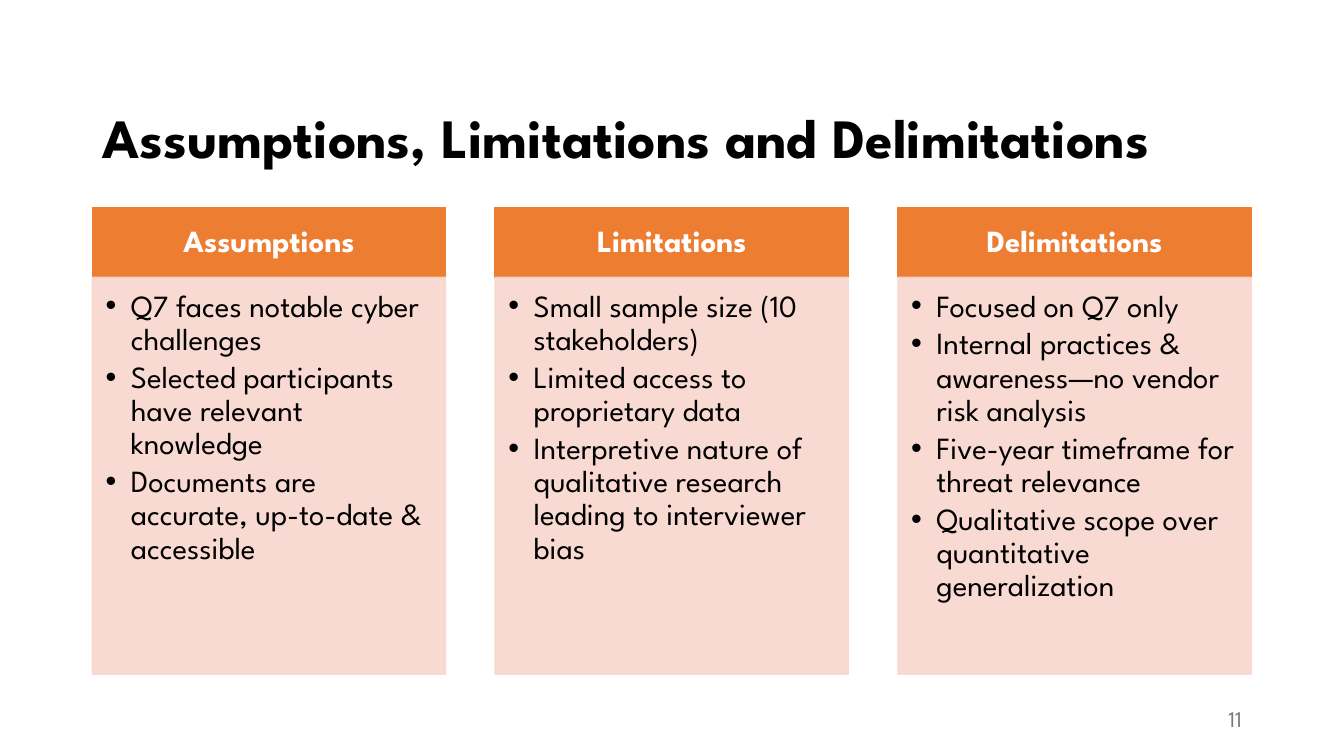
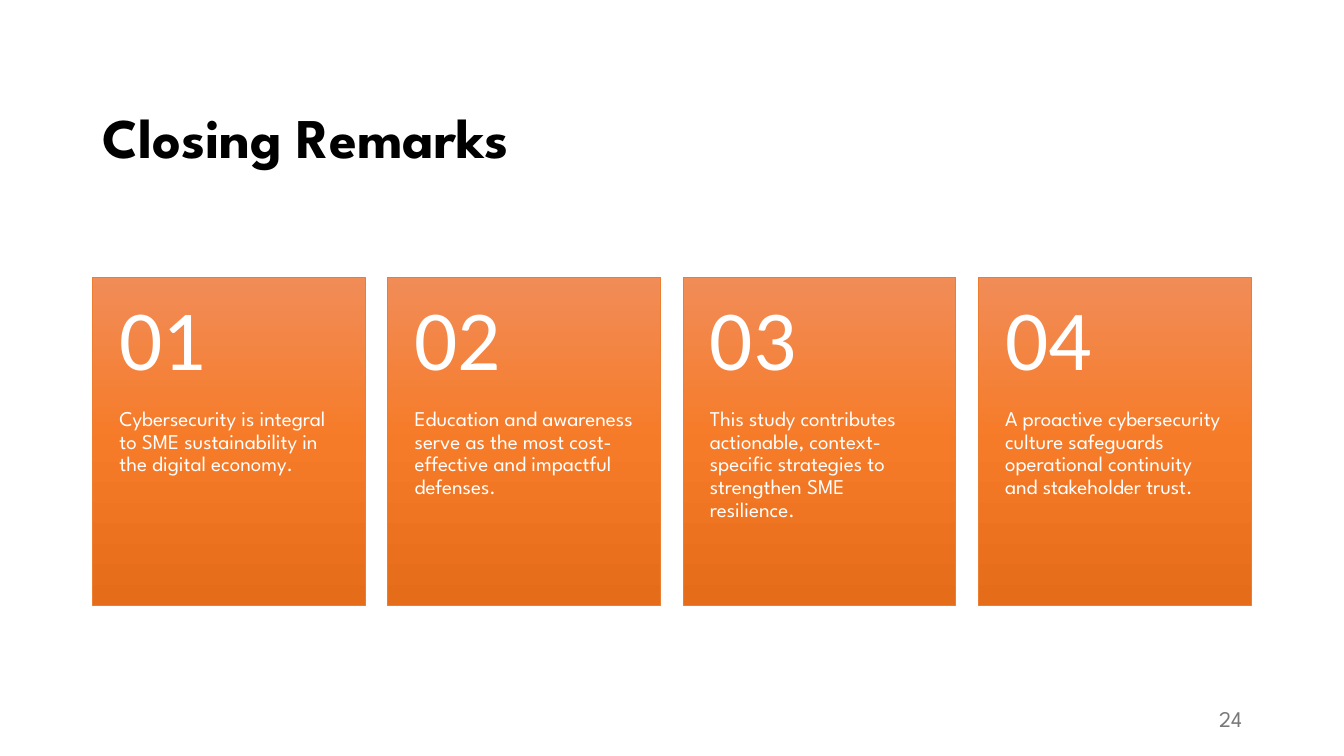
from dataclasses import dataclass

from lxml import etree
from pptx import Presentation
from pptx.dml.color import RGBColor
from pptx.enum.shapes import MSO_SHAPE
from pptx.enum.text import MSO_ANCHOR, PP_ALIGN
from pptx.oxml.ns import qn
from pptx.util import Cm, Pt

RECTANGLE = MSO_SHAPE.RECTANGLE
TOP, MIDDLE = MSO_ANCHOR.TOP, MSO_ANCHOR.MIDDLE
LEFT, CENTER, RIGHT = PP_ALIGN.LEFT, PP_ALIGN.CENTER, PP_ALIGN.RIGHT


@dataclass(frozen=True)
class Theme:
    font: str = "League Spartan"
    number_font: str = "Calibri"
    ink: str = "000000"
    white: str = "FFFFFF"
    orange: str = "ED7D31"
    blush: str = "F8D7CE"
    grey: str = "797979"
    card_gradient: tuple = ((0, "F18C57"), (50, "F67B28"), (100, "E56C19"))
    blush_opacity: int = 90
    title_size: float = 40
    column_size: float = 22
    remark_size: float = 15
    number_size: float = 61
    page_size: float = 16
    line_spacing: float = 0.9


THEME = Theme()
MARGIN = 2.33
CONTENT_WIDTH = 29.2
DEFAULT_INSETS = (0.25, 0.13, 0.25, 0.13)

COLUMNS = (
    ("Assumptions", (
        "Q7 faces notable cyber challenges",
        "Selected participants have relevant knowledge",
        "Documents are accurate, up-to-date & accessible",
    )),
    ("Limitations", (
        "Small sample size (10 stakeholders)",
        "Limited access to proprietary data",
        "Interpretive nature of qualitative research leading to interviewer bias",
    )),
    ("Delimitations", (
        "Focused on Q7 only",
        "Internal practices & awareness—no vendor risk analysis",
        "Five-year timeframe for threat relevance",
        "Qualitative scope over quantitative generalization",
    )),
)

REMARKS = (
    "Cybersecurity is integral to SME sustainability in the digital economy.",
    "Education and awareness serve as the most cost-effective and impactful defenses.",
    "This study contributes actionable, context-specific strategies to strengthen SME resilience.",
    "A proactive cybersecurity culture safeguards operational continuity and stakeholder trust.",
)


def column_lefts(count, width):
    gap = (CONTENT_WIDTH - count * width) / (count - 1)
    return [MARGIN + index * (width + gap) for index in range(count)]


def add_bullet(paragraph):
    properties = paragraph._p.get_or_add_pPr()
    properties.set("marL", str(Cm(0.64)))
    properties.set("indent", str(-Cm(0.64)))
    etree.SubElement(properties, qn("a:buFont"), typeface="Arial")
    etree.SubElement(properties, qn("a:buChar"), char="•")


def write(shape, lines, size, color, font=THEME.font, bold=False, align=LEFT,
          anchor=TOP, insets=DEFAULT_INSETS, space_after=0, bulleted=False):
    frame = shape.text_frame
    frame.word_wrap = True
    frame.vertical_anchor = anchor
    (frame.margin_left, frame.margin_top,
     frame.margin_right, frame.margin_bottom) = map(Cm, insets)
    for index, line in enumerate(lines):
        paragraph = frame.add_paragraph() if index else frame.paragraphs[0]
        paragraph.alignment = align
        paragraph.line_spacing = THEME.line_spacing
        paragraph.space_after = Pt(space_after)
        if bulleted:
            add_bullet(paragraph)
        run = paragraph.add_run()
        run.text = line
        run.font.name = font
        run.font.size = Pt(size)
        run.font.bold = bold
        run.font.color.rgb = RGBColor.from_string(color)


def add_label(slide, box, lines, size, color, **style):
    label = slide.shapes.add_textbox(*map(Cm, box))
    write(label, lines, size, color, **style)


def add_panel(slide, box, color, line_width):
    panel = slide.shapes.add_shape(RECTANGLE, *map(Cm, box))
    panel.shadow.inherit = False
    panel.fill.solid()
    panel.fill.fore_color.rgb = RGBColor.from_string(color)
    panel.line.color.rgb = RGBColor.from_string(color)
    panel.line.width = Pt(line_width)
    return panel


def set_opacity(panel, percent):
    for color in panel._element.spPr.iter(qn("a:srgbClr")):
        etree.SubElement(color, qn("a:alpha"), val=str(percent * 1000))


def set_gradient(panel, stops):
    panel.fill.gradient()
    panel.fill.gradient_angle = 270
    stop_list = panel._element.spPr.find(".//" + qn("a:gsLst"))
    for default_stop in list(stop_list):
        stop_list.remove(default_stop)
    for position, color in stops:
        stop = etree.SubElement(stop_list, qn("a:gs"), pos=str(position * 1000))
        etree.SubElement(stop, qn("a:srgbClr"), val=color)


def add_titled_slide(deck, title, page, title_size=THEME.title_size):
    slide = deck.slides.add_slide(deck.slide_layouts[6])
    add_label(slide, (MARGIN, 2.37, CONTENT_WIDTH, 2.33), [title], title_size,
              THEME.ink, bold=True, anchor=MIDDLE)
    add_label(slide, (23.93, 17.65, 7.62, 1.02), [page], THEME.page_size,
              THEME.grey, align=RIGHT, anchor=MIDDLE)
    return slide


def add_column(slide, left, width, heading, points):
    header = add_panel(slide, (left, 5.23, width, 1.76), THEME.orange, 1)
    write(header, [heading], THEME.column_size, THEME.white, bold=True,
          align=CENTER, anchor=MIDDLE, insets=(0.43, 0.25, 0.43, 0.25))
    body = add_panel(slide, (left, 6.99, width, 10), THEME.blush, 1)
    set_opacity(body, THEME.blush_opacity)
    write(body, points, THEME.column_size, THEME.ink, bulleted=True,
          insets=(0.33, 0.33, 0.43, 0.48), space_after=3.3)


def add_card(slide, left, width, number, remark):
    card = add_panel(slide, (left, 6.99, width, 8.26), THEME.orange, 0.5)
    set_gradient(card, THEME.card_gradient)
    add_label(slide, (left, 10.29, width, 4.95), [remark], THEME.remark_size,
              THEME.white, insets=(0.68, 0, 0.68, 0.91))
    add_label(slide, (left, 6.99, width, 3.3), [f"{number:02}"],
              THEME.number_size, THEME.white, font=THEME.number_font,
              anchor=MIDDLE, insets=(0.68, 0.46, 0.68, 0.46))


def build_scope_slide(deck):
    slide = add_titled_slide(
        deck, "Assumptions, Limitations and Delimitations", "11", title_size=39.6)
    width = 8.9
    for left, (heading, points) in zip(column_lefts(len(COLUMNS), width), COLUMNS):
        add_column(slide, left, width, heading, points)


def build_closing_slide(deck):
    slide = add_titled_slide(deck, "Closing Remarks", "24")
    width = 6.88
    lefts = column_lefts(len(REMARKS), width)
    for number, (left, remark) in enumerate(zip(lefts, REMARKS), start=1):
        add_card(slide, left, width, number, remark)


def main():
    deck = Presentation()
    deck.slide_width = Cm(33.87)
    deck.slide_height = Cm(19.05)
    build_scope_slide(deck)
    build_closing_slide(deck)
    deck.save("out.pptx")


if __name__ == "__main__":
    main()
